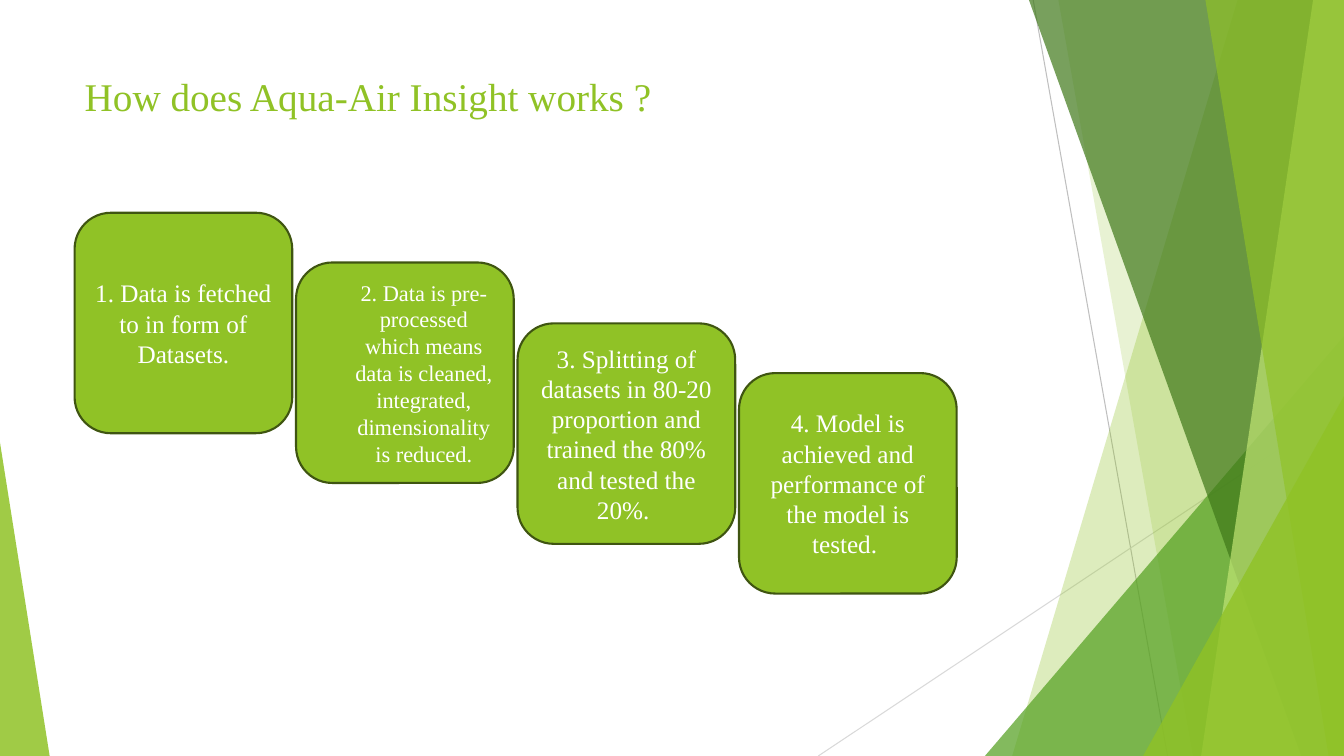
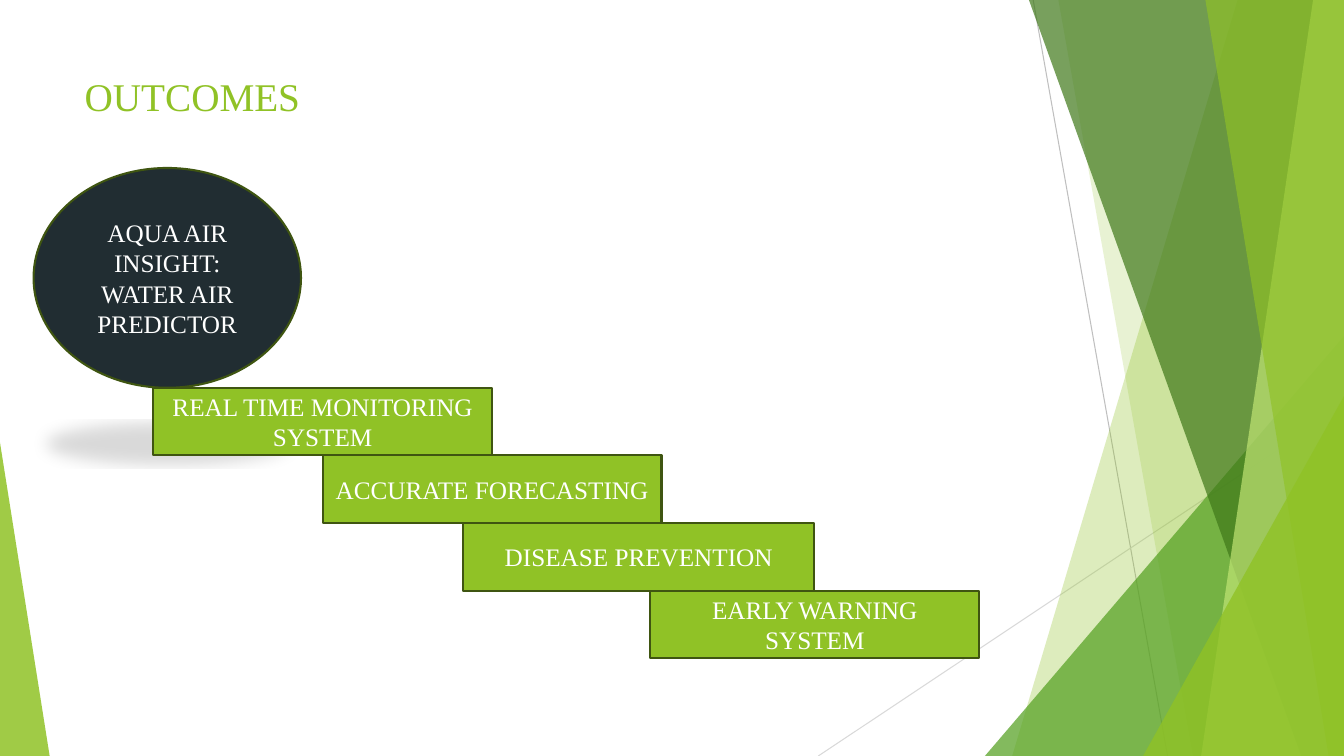
"""Builds two slides on how Aqua-Air Insight works and what it achieves."""
from dataclasses import dataclass

from lxml import etree
from pptx import Presentation
from pptx.dml.color import RGBColor
from pptx.enum.shapes import MSO_CONNECTOR, MSO_SHAPE
from pptx.enum.text import MSO_ANCHOR, PP_ALIGN
from pptx.oxml.ns import qn
from pptx.util import Pt

STRAIGHT = MSO_CONNECTOR.STRAIGHT
ELLIPSE = MSO_SHAPE.OVAL
RECTANGLE = MSO_SHAPE.RECTANGLE
ROUNDED = MSO_SHAPE.ROUNDED_RECTANGLE
TRIANGLE = MSO_SHAPE.ISOSCELES_TRIANGLE
CENTER, LEFT = PP_ALIGN.CENTER, PP_ALIGN.LEFT
MIDDLE, TOP = MSO_ANCHOR.MIDDLE, MSO_ANCHOR.TOP


@dataclass(frozen=True)
class Theme:
    """Colours, font and type sizes of the deck."""

    font: str = "Times New Roman"
    lime: RGBColor = RGBColor(0x90, 0xC2, 0x26)
    leaf: RGBColor = RGBColor(0x54, 0xA0, 0x21)
    forest: RGBColor = RGBColor(0x3F, 0x78, 0x19)
    pale: RGBColor = RGBColor(0xC0, 0xE4, 0x74)
    outline: RGBColor = RGBColor(0x3F, 0x55, 0x11)
    slate: RGBColor = RGBColor(0x21, 0x2D, 0x32)
    white: RGBColor = RGBColor(0xFF, 0xFF, 0xFF)
    dark_rule: RGBColor = RGBColor(0xBF, 0xBF, 0xBF)
    light_rule: RGBColor = RGBColor(0xD9, 0xD9, 0xD9)
    title_size: int = 28
    body_size: int = 18
    small_size: int = 16


THEME = Theme()
WIDTH, HEIGHT = 960, 540


def write(shape, text, size, color, alignment, anchor):
    """Put one formatted run into a shape."""
    frame = shape.text_frame
    frame.word_wrap = True
    frame.vertical_anchor = anchor
    paragraph = frame.paragraphs[0]
    paragraph.alignment = alignment
    run = paragraph.add_run()
    run.text = text
    run.font.name = THEME.font
    run.font.size = Pt(size)
    run.font.color.rgb = color


def add_box(slide, kind, frame, text, fill=THEME.lime, size=THEME.body_size):
    """Add an outlined shape with centred white text."""
    box = slide.shapes.add_shape(kind, *map(Pt, frame))
    box.shadow.inherit = False
    box.fill.solid()
    box.fill.fore_color.rgb = fill
    box.line.color.rgb = THEME.outline
    box.line.width = Pt(1.5)
    write(box, text, size, THEME.white, CENTER, MIDDLE)
    return box


presentation = Presentation()
presentation.slide_width = Pt(WIDTH)
presentation.slide_height = Pt(HEIGHT)
layout = presentation.slide_layouts[5]
layout_title = layout.placeholders[0]
layout_title.left, layout_title.top = Pt(53.3), Pt(48)
layout_title.width, layout_title.height = Pt(677), Pt(104)

slides = []
for title in ("How does Aqua-Air Insight works ?", "OUTCOMES"):
    slide = presentation.slides.add_slide(layout)
    write(slide.shapes.title, title, THEME.title_size, THEME.lime, LEFT, TOP)
    slides.append(slide)
process_slide, outcomes_slide = slides

scenery = []
rules = (
    ((738, 0, 834, HEIGHT), THEME.dark_rule),
    ((WIDTH, 290, 584.5, HEIGHT), THEME.light_rule),
)
for ends, color in rules:
    rule = process_slide.shapes.add_connector(STRAIGHT, *map(Pt, ends))
    rule.line.color.rgb = color
    rule.line.width = Pt(0.75)
    etree.SubElement(rule.element.spPr, qn("a:effectLst"))
    scenery.append(rule)

panels = (
    ("band", (884, 723), THEME.lime, 30),
    ("band", (756, 852), THEME.lime, 20),
    ("triangle", (703.5, 240, 256.5, 300, 1), THEME.leaf, 72),
    ("band", (735, 929.5), THEME.forest, 70),
    ("band", (938, 858), THEME.pale, 70),
    ("band", (861, 949), THEME.lime, 65),
    ("triangle", (816.5, 283, 143.5, 257, 1), THEME.lime, 80),
    ("triangle", (0, 316, 35.5, 224, 0), THEME.lime, 85),
)
for kind, geometry, color, opacity in panels:
    if kind == "band":
        top_x, bottom_x = geometry
        builder = process_slide.shapes.build_freeform(Pt(top_x), Pt(0))
        corners = ((WIDTH, 0), (WIDTH, HEIGHT), (bottom_x, HEIGHT))
        builder.add_line_segments([(Pt(x), Pt(y)) for x, y in corners])
        panel = builder.convert_to_shape()
    else:
        *frame, apex = geometry
        panel = process_slide.shapes.add_shape(TRIANGLE, *map(Pt, frame))
        panel.adjustments[0] = apex
    panel.shadow.inherit = False
    panel.line.fill.background()
    panel.fill.solid()
    panel.fill.fore_color.rgb = color
    fill_color = next(panel.element.spPr.iter(qn("a:srgbClr")))
    etree.SubElement(fill_color, qn("a:alpha"), val=str(opacity * 1000))
    scenery.append(panel)

for index, shape in enumerate(scenery):
    next(shape.element.iter(qn("p:cNvPr"))).set("id", str(100 + index))
    layout.shapes.element.insert(2 + index, shape.element)

steps = (
    (152, "1. Data is fetched to in form of Datasets.", THEME.body_size, 0),
    (187.5, "2. Data is pre-processed which means data is cleaned, integrated, "
     "dimensionality is reduced.", THEME.small_size, 27),
    (231, "3. Splitting of datasets in 80-20 proportion and trained the 80% "
     "and tested the 20%. ", THEME.body_size, 0),
    (266.5, "4. Model is achieved and performance of the model is tested. ",
     THEME.body_size, 0),
)
for index, (top, text, size, indent) in enumerate(steps):
    frame = (53.3 + 158.2 * index, top, 155.5, 157.5)
    box = add_box(process_slide, ROUNDED, frame, text, size=size)
    if indent:
        properties = box.text_frame.paragraphs[0]._p.get_or_add_pPr()
        properties.set("marL", str(Pt(indent)))
        properties.set("indent", "0")

product = add_box(outcomes_slide, ELLIPSE, (24, 120, 191, 157),
                  "AQUA AIR INSIGHT: WATER AIR PREDICTOR", THEME.slate)
effects = product.element.spPr.find(qn("a:effectLst"))
shadow = etree.SubElement(
    effects, qn("a:outerShdw"), blurRad=str(Pt(12)), dist=str(Pt(25)),
    dir="5400000", sx="90000", sy="-19000", rotWithShape="0")
shadow_color = etree.SubElement(shadow, qn("a:srgbClr"), val="000000")
etree.SubElement(shadow_color, qn("a:alpha"), val="15000")

outcomes = (
    (109.5, 242, "REAL TIME MONITORING SYSTEM"),
    (230.5, 242, "ACCURATE FORECASTING"),
    (331, 250.5, "DISEASE PREVENTION"),
    (464.5, 235, "EARLY WARNING SYSTEM"),
)
stair_height = 48.3
for index, (left, width, text) in enumerate(outcomes):
    frame = (left, 277 + stair_height * index, width, stair_height)
    add_box(outcomes_slide, RECTANGLE, frame, text)

presentation.save("out.pptx")
